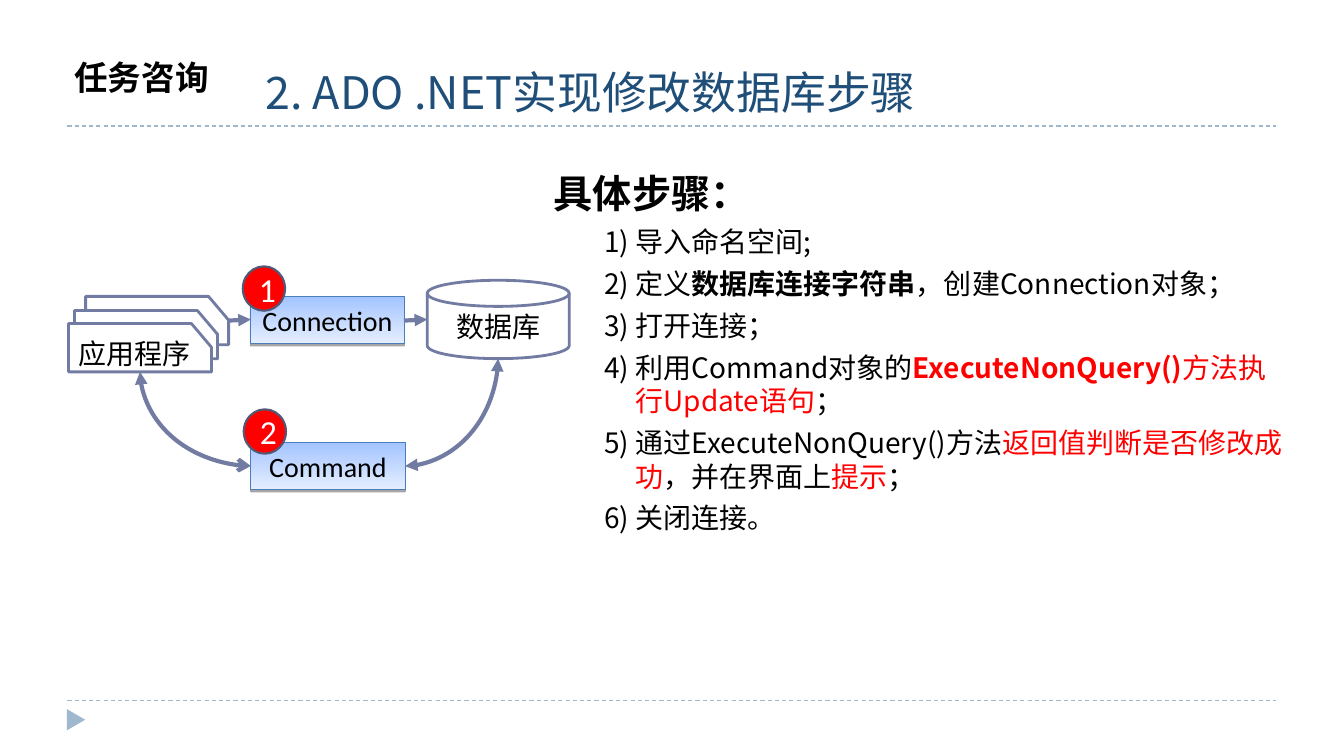
from lxml import etree
from pptx import Presentation
from pptx.dml.color import RGBColor
from pptx.enum.dml import MSO_LINE
from pptx.enum.shapes import MSO_CONNECTOR, MSO_SHAPE
from pptx.enum.text import MSO_ANCHOR, MSO_AUTO_SIZE, PP_ALIGN
from pptx.oxml.ns import qn
from pptx.util import Pt

LEFT, CENTER = PP_ALIGN.LEFT, PP_ALIGN.CENTER
TOP, MIDDLE = MSO_ANCHOR.TOP, MSO_ANCHOR.MIDDLE
LINE, CURVE = MSO_CONNECTOR.STRAIGHT, MSO_CONNECTOR.CURVE
SANS, BOLD, LATIN = "Noto Sans CJK SC", "Noto Sans CJK JP", "Calibri"
HEX = {"rule": "9FB8CD", "title": "1F4E79", "black": "000000", "red": "FF0000",
       "white": "FFFFFF", "edge": "727CA3", "ring": "525977",
       "box": "4A7EBB", "deep": "A3C4FF", "pale": "E5EEFF"}

# Content: each run is (text, colour, bold)
TITLE = "2. ADO .NET实现修改数据库步骤"
LABEL = "任务咨询"
HEAD = "具体步骤："
STEPS = [
    [("导入命名空间;", "black", False)],
    [("定义", "black", False), ("数据库连接字符串", "black", True),
     ("，创建Connection对象；", "black", False)],
    [("打开连接；", "black", False)],
    [("利用Command对象的", "black", False), ("ExecuteNonQuery()", "red", True),
     ("方法执行Update语句", "red", False), ("；", "black", False)],
    [("通过ExecuteNonQuery()方法", "black", False),
     ("返回值判断是否修改成功", "red", False), ("，并在界面上", "black", False),
     ("提示", "red", False), ("；", "black", False)],
    [("关闭连接。", "black", False)],
]
BOXES = [("Connection", 178.9, 211.7), ("Command", 179.3, 316)]
BOX_W, BOX_H = 110.2, 33.8
BADGES = [("1", 173.5, 190.3), ("2", 174.2, 292.4)]
BADGE_W, BADGE_H = 30.2, 31.7
PAGES = [("", 61.2, 211.7), ("", 53.3, 221.8), ("应用程序", 49, 231.1)]
PAGE_W, PAGE_H, CUT_W, CUT_H = 102.2, 34.5, 14.4, 17
DISK = (305.3, 200.2, 101.5, 56)
RULES = [90, 500.4]


def color(name):
    return RGBColor.from_string(HEX[name])


def write(para, text, size=20, font=LATIN, ink="black", bold=False):
    run = para.add_run()
    run.text = text
    run.font.size, run.font.name, run.font.bold = Pt(size), font, bold
    run.font.color.rgb = color(ink)
    east = SANS if font == LATIN else font
    etree.SubElement(run.font._element, qn("a:ea"), typeface=east)


def frame(shape, anchor, wrap=True):
    text = shape.text_frame
    text.word_wrap, text.vertical_anchor = wrap, anchor
    text.auto_size = MSO_AUTO_SIZE.NONE
    return text


def place(shape, x, y, w, h):
    shape.left, shape.top, shape.width, shape.height = map(Pt, (x, y, w, h))


def style(shape, fill, edge=None, width=1):
    shape.shadow.inherit = False
    shape.fill.solid()
    shape.fill.fore_color.rgb = color(fill)
    if edge:
        shape.line.color.rgb, shape.line.width = color(edge), Pt(width)
    else:
        shape.line.fill.background()


def caption(shape, text, wrap=False, **form):
    para = frame(shape, MIDDLE, wrap).paragraphs[0]
    para.alignment = CENTER
    write(para, text, **form)


def link(kind, start, end, ink="edge", width=3, head=None, tail=None):
    wire = slide.shapes.add_connector(kind, *map(Pt, start + end))
    wire.line.color.rgb, wire.line.width = color(ink), Pt(width)
    props = wire._element.spPr
    if kind == CURVE:
        props.find(qn("a:prstGeom")).set("prst", "curvedConnector2")
    for tag, tip in (("a:headEnd", head), ("a:tailEnd", tail)):
        if tip:
            etree.SubElement(wire.line._get_or_add_ln(), qn(tag), type=tip)
    etree.SubElement(props, qn("a:effectLst"))
    return wire


deck = Presentation()
deck.slide_width, deck.slide_height = Pt(960.5), Pt(540)
slide = deck.slides.add_slide(deck.slide_layouts[1])
shapes = slide.shapes

# Rules and corner mark
for y in RULES:
    link(LINE, (48.2, y), (912.2, y), "rule", 0.75).line.dash_style = MSO_LINE.DASH
mark = shapes.add_shape(MSO_SHAPE.ISOSCELES_TRIANGLE, *map(Pt, (46.8, 507.6, 15.1, 13)))
mark.rotation = 90
style(mark, "rule")

# Title and section label
place(shapes.title, 182.6, 42.5, 672, 46)
para = frame(shapes.title, MIDDLE).paragraphs[0]
para.alignment = LEFT
write(para, TITLE, 32, SANS, "title")
label = shapes.add_textbox(*map(Pt, (46, 42.5, 125, 33)))
para = frame(label, TOP).paragraphs[0]
para.line_spacing = 0.8
write(para, LABEL, 24, BOLD, bold=True)

# Steps
body = slide.placeholders[1]
place(body, 388.6, 117.6, 540, 320)
text = frame(body, TOP)
for i, runs in enumerate([[(HEAD, "black", True)]] + STEPS):
    para = text.add_paragraph() if i else text.paragraphs[0]
    para.space_before = Pt(5.8 if i else 0)
    props = para._p.get_or_add_pPr()
    props.set("marL", str(Pt(58.3 if i else 0)))
    props.set("indent", str(Pt(-22.3 if i else 0)))
    etree.SubElement(props, qn("a:buNone"))
    for j, (words, ink, bold) in enumerate(runs):
        lead = f"{i}) " if i and not j else ""
        write(para, lead + words, 20 if i else 28, SANS if i else BOLD, ink, bold)

# Database
disk = shapes.add_shape(MSO_SHAPE.FLOWCHART_MAGNETIC_DISK, *map(Pt, DISK))
style(disk, "white", "edge", 2)
caption(disk, "数据库")

# Object boxes
for name, x, y in BOXES:
    box = shapes.add_shape(MSO_SHAPE.RECTANGLE, *map(Pt, (x, y, BOX_W, BOX_H)))
    style(box, "white", "box", 0.75)
    box.fill.gradient()
    box.fill.gradient_angle = 270
    for stop, shade, spot in zip(box.fill.gradient_stops, ("deep", "pale"), (0, 1)):
        stop.color.rgb, stop.position = color(shade), spot
    glow = etree.SubElement(box._element.spPr.find(qn("a:effectLst")), qn("a:outerShdw"),
                            dist=str(Pt(1.6)), dir="5400000", rotWithShape="0")
    tint = etree.SubElement(glow, qn("a:srgbClr"), val=HEX["black"])
    etree.SubElement(tint, qn("a:alpha"), val="34000")
    caption(box, name)

# Application pages
for name, x, y in PAGES:
    right, low = x + PAGE_W, y + PAGE_H
    pen = shapes.build_freeform(Pt(x), Pt(y))
    pen.add_line_segments([(Pt(a), Pt(b)) for a, b in (
        (right - CUT_W, y), (right, y + CUT_H), (right, low), (x, low))])
    page = pen.convert_to_shape()
    style(page, "white", "edge", 2)
    if name:
        caption(page, name)
        page.text_frame.margin_right, page.text_frame.margin_top = Pt(15), Pt(12)

# Arrows
link(LINE, (163.4, 229), (179.3, 228.2), tail="triangle")
link(LINE, (288.7, 229), (305.3, 228.2), tail="triangle")
link(CURVE, (179.3, 332.9), (100.1, 265.6), head="arrow", tail="triangle")
link(CURVE, (289.5, 333), (356, 256.3), head="triangle", tail="triangle")

# Number badges
for digit, x, y in BADGES:
    spot = (x, y, BADGE_W, BADGE_H)
    badge = shapes.add_shape(MSO_SHAPE.FLOWCHART_CONNECTOR, *map(Pt, spot))
    style(badge, "red", "ring", 1.5)
    caption(badge, digit, wrap=True, size=24, ink="white")

deck.save("out.pptx")
